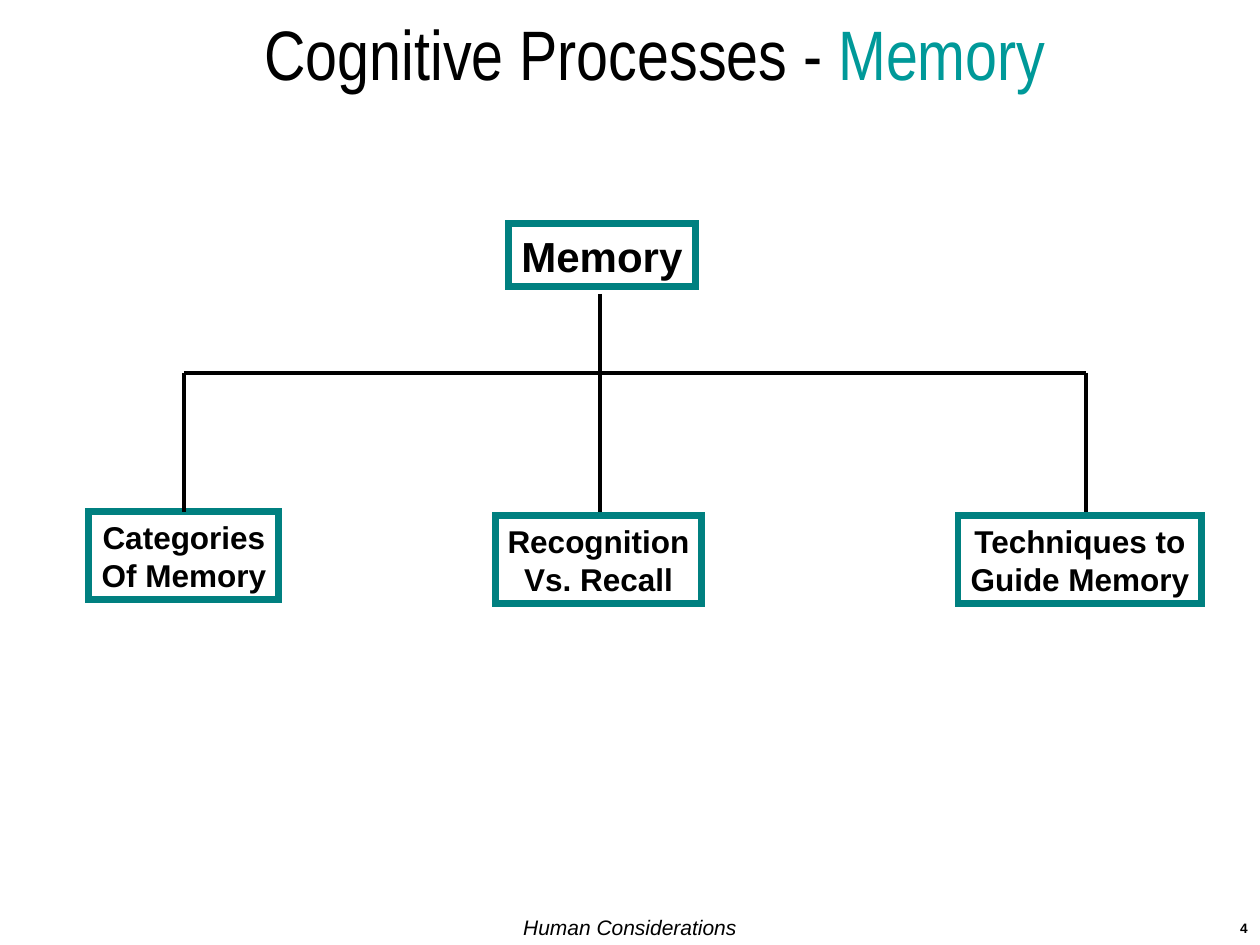
from dataclasses import dataclass

from lxml.etree import SubElement
from pptx import Presentation
from pptx.dml.color import RGBColor
from pptx.enum.shapes import MSO_CONNECTOR as Connector, MSO_SHAPE as Shape
from pptx.enum.text import MSO_ANCHOR as Anchor, MSO_AUTO_SIZE as AutoSize, PP_ALIGN as Align
from pptx.oxml.ns import qn
from pptx.slide import Slide
from pptx.util import Pt

EMU_PER_INCH = 914400
PX_PER_INCH = 126


def px(length):
    return round(length * EMU_PER_INCH / PX_PER_INCH)


def color(value):
    return RGBColor.from_string(value)


@dataclass
class SlideBuilder:
    """Hold the style and the current slide, and add elements to it."""
    slide: Slide
    ink: str = "000000"
    border: str = "008080"
    accent: str = "009999"
    body_font: str = "Arial"
    title_font: str = "Arial Narrow"

    def add_run(self, paragraph, text, size, font=None, ink=None, bold=False, italic=False):
        run = paragraph.add_run()
        run.text = text
        run.font.name = font or self.body_font
        run.font.size = Pt(size)
        run.font.bold = bold
        run.font.italic = italic
        run.font.color.rgb = color(ink or self.ink)

    def add_title(self, text, accent_text, left, top, width, height):
        title = self.slide.shapes.title
        title.left, title.top, title.width, title.height = map(px, (left, top, width, height))
        frame = title.text_frame
        frame.auto_size = AutoSize.NONE
        frame.vertical_anchor = Anchor.MIDDLE
        paragraph = frame.paragraphs[0]
        paragraph.alignment = Align.CENTER
        self.add_run(paragraph, text, 40, self.title_font)
        self.add_run(paragraph, accent_text, 40, self.title_font, self.accent)

    def add_text(self, text, left, top, width, height, size, align, **style):
        box = self.slide.shapes.add_textbox(*map(px, (left, top, width, height)))
        box.text_frame.word_wrap = True
        paragraph = box.text_frame.paragraphs[0]
        paragraph.alignment = align
        self.add_run(paragraph, text, size, **style)

    def add_box(self, lines, left, top, width, height, size, align=Align.CENTER):
        box = self.slide.shapes.add_shape(Shape.RECTANGLE, *map(px, (left, top, width, height)))
        box.shadow.inherit = False
        box.fill.background()
        box.line.color.rgb = color(self.border)
        box.line.width = Pt(4)
        SubElement(box.line._get_or_add_ln(), qn("a:miter"), lim="800000")
        frame = box.text_frame
        frame.word_wrap = False
        frame.auto_size = AutoSize.NONE
        frame.vertical_anchor = Anchor.TOP
        for index, line in enumerate(lines):
            paragraph = frame.add_paragraph() if index else frame.paragraphs[0]
            paragraph.alignment = align
            self.add_run(paragraph, line, size, bold=True)
        return box

    def add_line(self, x1, y1, x2, y2):
        line = self.slide.shapes.add_connector(Connector.STRAIGHT, *map(px, (x1, y1, x2, y2)))
        line.line.color.rgb = color(self.ink)
        line.line.width = Pt(2)
        SubElement(line._element.spPr, qn("a:effectLst"))
        return line


def main():
    presentation = Presentation()
    presentation.slide_width = px(1260)
    presentation.slide_height = px(945)
    builder = SlideBuilder(presentation.slides.add_slide(presentation.slide_layouts[5]))

    builder.add_title("Cognitive Processes - ", "Memory", 25, 0, 1260, 105)
    builder.add_text("Human Considerations", 0, 908, 1260, 38, 12, Align.CENTER, italic=True)
    builder.add_text("4", 998, 914, 262, 31, 7.8, Align.RIGHT, bold=True)

    builder.add_box(["Memory"], 509, 224, 187, 63, 24, Align.LEFT)
    categories = builder.add_box(["Categories", "Of Memory"], 89, 512, 190, 88, 18)
    builder.add_box(["Recognition", "Vs. Recall"], 495, 516, 207, 88, 18)
    builder.add_box(["Techniques to", "Guide Memory"], 958, 516, 244, 88, 18)

    left, middle, right = 184, 600, 1086
    bar, bottom = 373, 512
    builder.add_line(middle, 294, middle, bar)
    builder.add_line(left, bar, right, bar)
    drops = [builder.add_line(x, bar, x, bottom) for x in (left, middle, right)]
    drops[0].end_connect(categories, 0)

    presentation.save("out.pptx")


if __name__ == "__main__":
    main()
